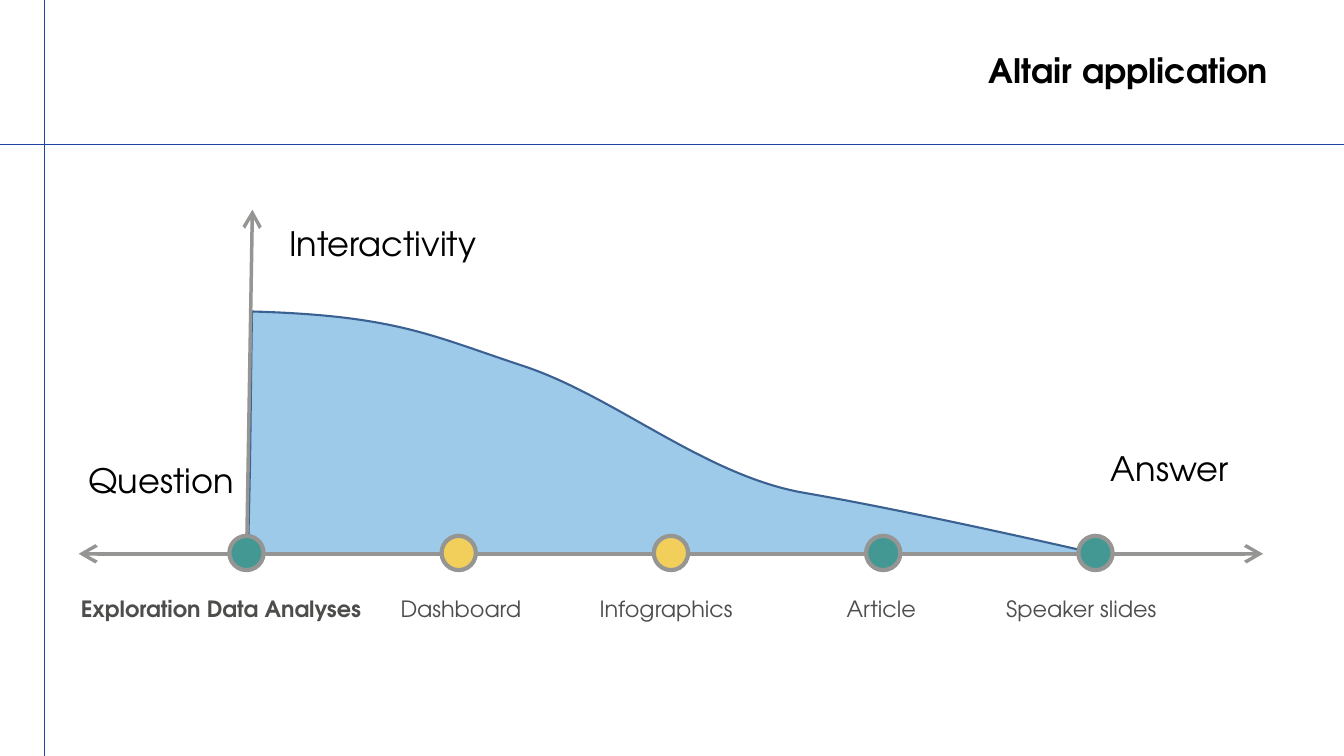
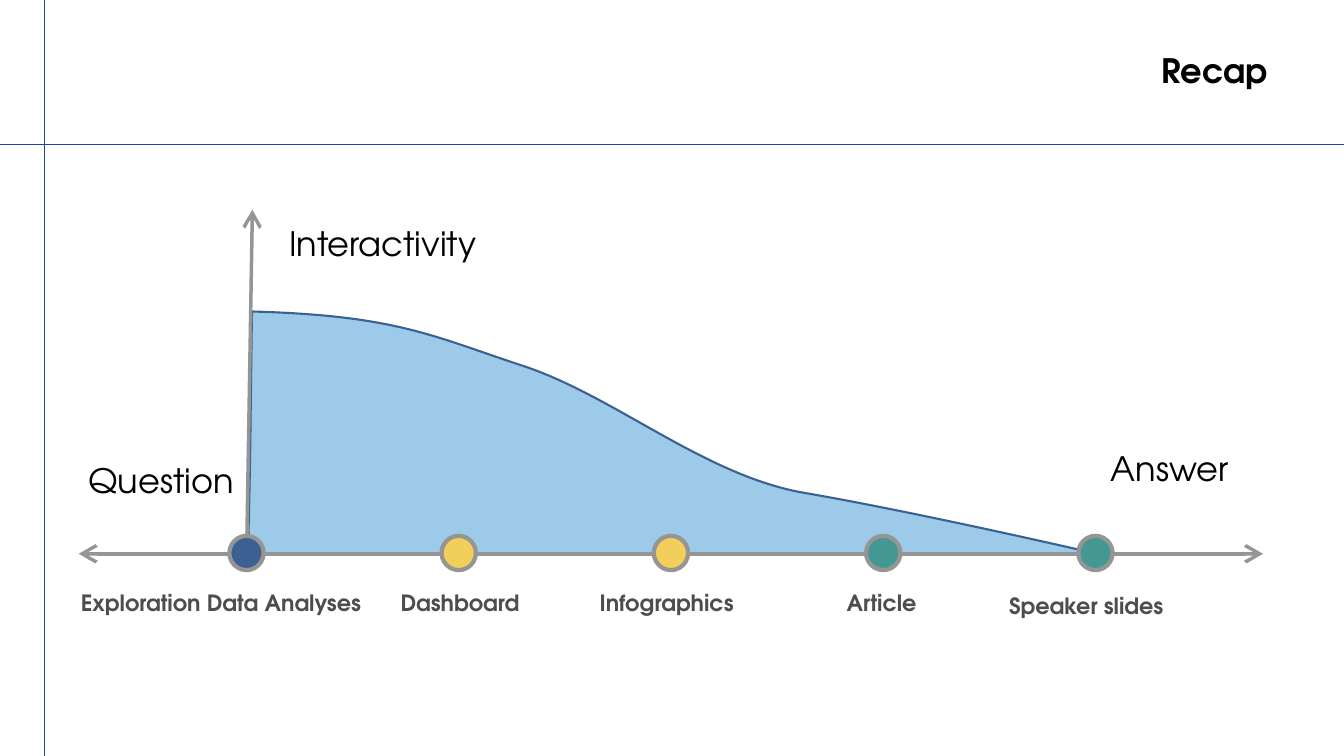
"""Build two slides that place output formats on a question-to-answer axis."""
from lxml.etree import SubElement
from pptx import Presentation
from pptx.dml.color import RGBColor
from pptx.enum.dml import MSO_LINE
from pptx.enum.shapes import MSO_CONNECTOR, MSO_SHAPE
from pptx.enum.text import MSO_ANCHOR, PP_ALIGN
from pptx.oxml.ns import qn
from pptx.util import Pt

FONT = "TeX Gyre Adventor"
BLACK, DARK_GREY, AXIS_GREY = "000000", "4D4D4C", "959593"
GUIDE_BLUE, NAVY, SKY = "1D44A1", "3B6193", "9ECAE9"
TEAL, YELLOW = "439894", "F2CF5B"
WIDTH, HEIGHT = 960, 540
AXIS_Y, DOT_Y, FIRST_STOP, STOP_STEP, DOT = 395.6, 395, 176.1, 151.6, 24.5

TITLE = {"size": Pt(24), "bold": True}
HEADING = {"size": Pt(24), "bold": False}
HEADINGS = [
    ("Answer", 786.4, 318.5, 108),
    ("Question", 56.2, 326.9, 128.9),
    ("Interactivity", 199.4, 157.7, 223.9),
]
STOPS = [
    ("Exploration Data Analyses", 50.7, 234.7),
    ("Dashboard", 279, 128.2),
    ("Infographics", 421.2, 128.2),
    ("Article", 597.6, 68.4),
    ("Speaker slides", 711.7, 133.9),
]
SLIDES = [
    {
        "title": "Altair application",
        "dots": [TEAL, YELLOW, YELLOW, TEAL, TEAL],
        "bold": [True, False, False, False, False],
        "label_y": 435.6,
        "last_shift": (0, 0),
    },
    {
        "title": "Recap",
        "dots": [NAVY, YELLOW, YELLOW, TEAL, TEAL],
        "bold": [True] * 5,
        "label_y": 431.6,
        "last_shift": (2, 2.1),
    },
]
CURVE_START = (177.1, 396.7)
CURVE = [
    ((179.3, 308.9), (178.6, 318.2), (180, 222.5)),
    ((283, 225.4), (308.2, 239.8), (373.7, 261.4)),
    ((439.2, 283), (503.3, 339.8), (574.6, 352.1)),
    ((645.8, 364.3), (751, 388.1), (785.5, 396)),
]


def draw_line(shapes, start, end, color, width, arrows=False):
    line = shapes.add_connector(MSO_CONNECTOR.STRAIGHT, *map(Pt, start + end))
    line.line.color.rgb = RGBColor.from_string(color)
    line.line.width = Pt(width)
    properties = line.element.spPr
    if arrows:
        for tag in ("a:headEnd", "a:tailEnd"):
            SubElement(properties.find(qn("a:ln")), qn(tag), type="arrow", w="lg", len="lg")
    SubElement(properties, qn("a:effectLst"))
    return line


def write(frame, text, color, style, alignment=PP_ALIGN.LEFT):
    frame.word_wrap = True
    frame.vertical_anchor = MSO_ANCHOR.MIDDLE
    para = frame.paragraphs[0]
    para.alignment = alignment
    para.line_spacing = 0.9
    span = para.add_run()
    span.text = text
    for name, value in {"name": FONT, **style}.items():
        setattr(span.font, name, value)
    span.font.color.rgb = RGBColor.from_string(color)


deck = Presentation()
deck.slide_width, deck.slide_height = Pt(WIDTH), Pt(HEIGHT)
layout = deck.slide_layouts[5]
title_area = layout.placeholders[0]
for name, value in {"left": 124.6, "top": 34.6, "width": 788.4, "height": 34.6}.items():
    setattr(title_area, name, Pt(value))
pages = [deck.slides.add_slide(layout) for content in SLIDES]

guides = [((0, 103), (WIDTH, 103)), ((31.7, 0), (31.7, HEIGHT))]
for number, (start, end) in enumerate(guides, 20):
    guide = draw_line(pages[0].shapes, start, end, GUIDE_BLUE, 0.25)
    guide.line.dash_style = MSO_LINE.ROUND_DOT
    guide.element.nvCxnSpPr.cNvPr.set("id", str(number))
    layout.shapes.element.append(guide.element)

for page, content in zip(pages, SLIDES):
    write(page.shapes.title.text_frame, content["title"], BLACK, TITLE, PP_ALIGN.RIGHT)

    builder = page.shapes.build_freeform(*map(Pt, CURVE_START))
    builder.add_line_segments([tuple(map(Pt, points[-1])) for points in CURVE], close=False)
    area = builder.convert_to_shape()
    for segment, points in zip(list(area.element.iter(qn("a:lnTo"))), CURVE):
        segment.clear()
        segment.tag = qn("a:cubicBezTo")
        for x, y in points:
            SubElement(segment, qn("a:pt"), x=str(Pt(x) - area.left), y=str(Pt(y) - area.top))
    area.shadow.inherit = False
    area.fill.solid()
    area.fill.fore_color.rgb = RGBColor.from_string(SKY)
    area.line.color.rgb = RGBColor.from_string(NAVY)
    area.line.width = Pt(1.5)

    draw_line(page.shapes, (180.3, 149.8), (176, 406.8), AXIS_GREY, 2.5, arrows=True)
    timeline = page.shapes.add_group_shape().shapes
    draw_line(timeline, (56.2, AXIS_Y), (902.2, AXIS_Y), AXIS_GREY, 2.5, arrows=True)
    for index, color in enumerate(content["dots"]):
        left = FIRST_STOP + index * STOP_STEP - DOT / 2
        dot = timeline.add_shape(
            MSO_SHAPE.OVAL, Pt(left), Pt(DOT_Y - DOT / 2), Pt(DOT), Pt(DOT)
        )
        dot.shadow.inherit = False
        dot.fill.solid()
        dot.fill.fore_color.rgb = RGBColor.from_string(color)
        dot.line.color.rgb = RGBColor.from_string(AXIS_GREY)
        dot.line.width = Pt(3)

    for text, left, top, width in HEADINGS:
        box = page.shapes.add_textbox(Pt(left), Pt(top), Pt(width), Pt(35.3))
        write(box.text_frame, text, BLACK, HEADING)

    shifts = [(0, 0)] * 4 + [content["last_shift"]]
    for (text, left, width), bold, (right, down) in zip(STOPS, content["bold"], shifts):
        top = content["label_y"] + down - 17
        box = page.shapes.add_textbox(Pt(left + right), Pt(top), Pt(width), Pt(34))
        write(box.text_frame, text, DARK_GREY, {"size": Pt(16), "bold": bold})

deck.save("out.pptx")
